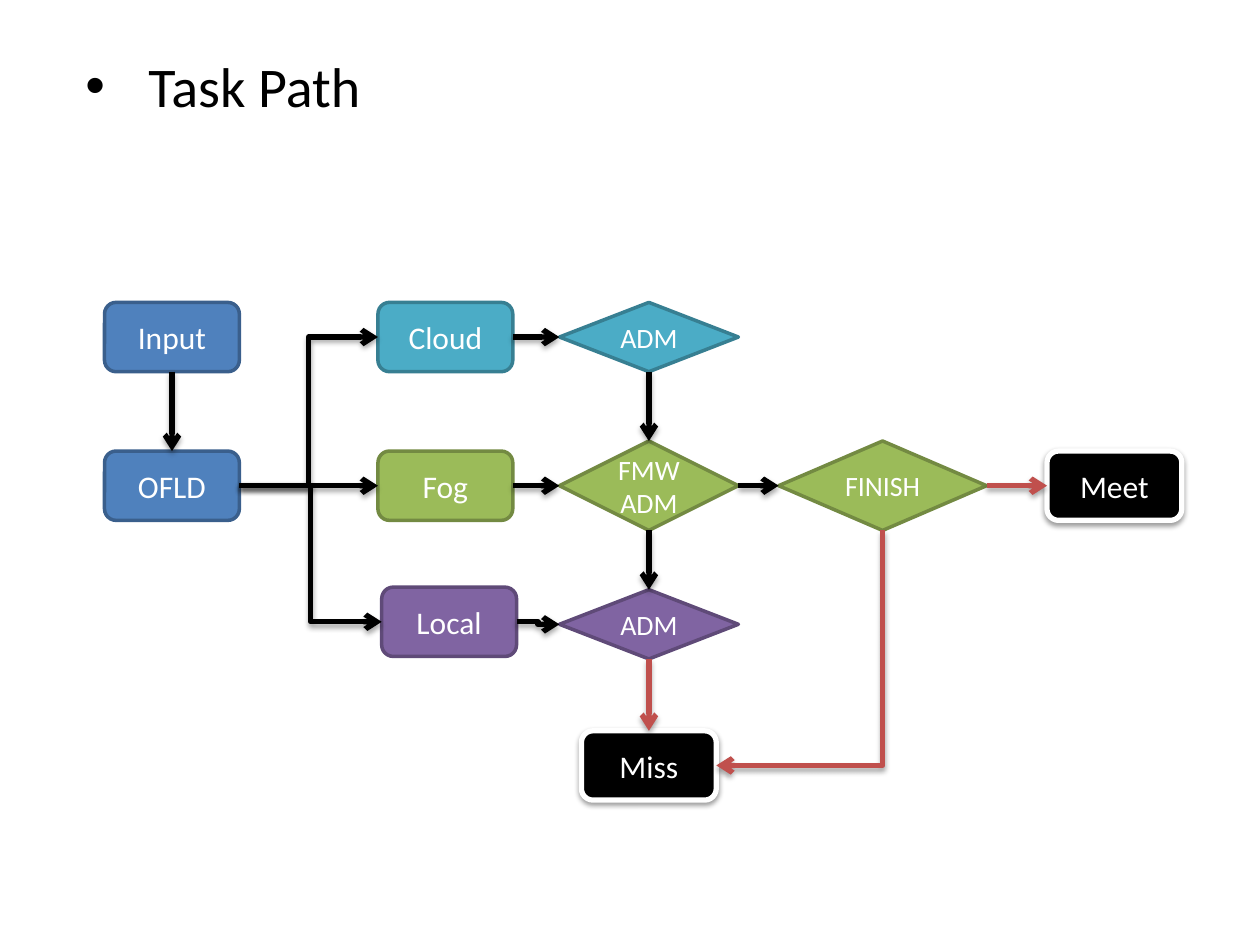
from dataclasses import dataclass

import lxml.etree
import pptx
import pptx.dml.color
import pptx.enum.shapes
import pptx.enum.text
import pptx.oxml.ns
import pptx.util

Inches = pptx.util.Inches
Kind = pptx.enum.shapes.MSO_SHAPE
Joint = pptx.enum.shapes.MSO_CONNECTOR
Align = pptx.enum.text.PP_ALIGN
qualify = pptx.oxml.ns.qn

TOP, LEFT, BOTTOM, RIGHT = range(4)
COLUMNS = {"intake": 1.365, "site": 3.535, "local": 3.565,
           "admission": 5.15, "finish": 7.005, "result": 8.845}
ROWS = {"cloud": 2.675, "fog": 3.855, "local": 4.935, "local check": 4.955, "miss": 6.075}


@dataclass(frozen=True)
class Theme:
    font: str = "Calibri"
    title_size: float = 32
    box_size: float = 18
    diamond_size: float = 16
    black: str = "000000"
    white: str = "FFFFFF"
    red: str = "C0504D"
    blue: tuple[str, str] = ("4F81BD", "3A5F8C")
    teal: tuple[str, str] = ("4BACC6", "377F92")
    green: tuple[str, str] = ("9BBB59", "738A42")
    purple: tuple[str, str] = ("8064A2", "5F4A78")
    ending: tuple[str, str] = ("000000", "FFFFFF")
    outline: float = 2
    stroke: float = 3


THEME = Theme()


@dataclass(frozen=True)
class Node:
    name: str
    text: str
    column: str
    row: str
    colors: tuple[str, str]
    width: float = 1.07
    height: float = 0.55
    kind: Kind = Kind.ROUNDED_RECTANGLE


@dataclass(frozen=True)
class Flow:
    start: str
    end: str
    start_side: int = RIGHT
    end_side: int = LEFT
    color: str = THEME.black
    joint: Joint = Joint.STRAIGHT


NODES = [
    Node("input", "Input", "intake", "cloud", THEME.blue),
    Node("offload", "OFLD", "intake", "fog", THEME.blue),
    Node("cloud", "Cloud", "site", "cloud", THEME.teal),
    Node("fog", "Fog", "site", "fog", THEME.green),
    Node("local", "Local", "local", "local", THEME.purple),
    Node("cloud check", "ADM", "admission", "cloud", THEME.teal, 1.42, kind=Kind.DIAMOND),
    Node("fog check", "FMW\vADM", "admission", "fog", THEME.green, 1.42, 0.71, Kind.DIAMOND),
    Node("local check", "ADM", "admission", "local check", THEME.purple, 1.42, kind=Kind.DIAMOND),
    Node("miss", "Miss", "admission", "miss", THEME.ending),
    Node("finish", "FINISH", "finish", "fog", THEME.green, 1.65, 0.71, Kind.DIAMOND),
    Node("meet", "Meet", "result", "fog", THEME.ending),
]
SITES = ("cloud", "fog", "local")
FLOWS = [
    *(Flow("offload", site, joint=Joint.ELBOW) for site in SITES),
    *(Flow(site, f"{site} check", joint=Joint.ELBOW) for site in SITES),
    Flow("input", "offload", BOTTOM, TOP),
    Flow("cloud check", "fog check", BOTTOM, TOP),
    Flow("fog check", "local check", BOTTOM, TOP),
    Flow("local check", "miss", BOTTOM, TOP, THEME.red),
    Flow("fog check", "finish"),
    Flow("finish", "meet", color=THEME.red),
    Flow("finish", "miss", BOTTOM, RIGHT, THEME.red, Joint.ELBOW),
]


def rgb(value: str) -> pptx.dml.color.RGBColor:
    return pptx.dml.color.RGBColor.from_string(value)


def add_element(parent, tag: str, **attributes):
    return lxml.etree.SubElement(parent, qualify(tag), attributes)


def add_shadow(effects, opacity: int, distance: float) -> None:
    shadow = add_element(effects, "a:outerShdw", blurRad=str(pptx.util.Pt(3.1)),
                         dist=str(pptx.util.Pt(distance)), dir="5400000", rotWithShape="0")
    color = add_element(shadow, "a:srgbClr", val=THEME.black)
    add_element(color, "a:alpha", val=str(opacity * 1000))


def write_text(frame, text: str, *, size: float, color: str, align=Align.LEFT,
               anchor=pptx.enum.text.MSO_ANCHOR.TOP, wrap: bool = True):
    frame.word_wrap = wrap
    frame.vertical_anchor = anchor
    para = frame.paragraphs[0]
    para.text = text
    para.alignment = align
    for span in para.runs:
        span.font.name = THEME.font
        span.font.size = pptx.util.Pt(size)
        span.font.color.rgb = rgb(color)
    return para


def add_title(page, text: str) -> None:
    box = page.shapes.add_textbox(Inches(0.58), Inches(0.36), Inches(2.41), Inches(0.64))
    para = write_text(box.text_frame, text, size=THEME.title_size, color=THEME.black, wrap=False)
    box.text_frame.auto_size = pptx.enum.text.MSO_AUTO_SIZE.SHAPE_TO_FIT_TEXT
    properties = para._p.get_or_add_pPr()
    properties.set("marL", str(Inches(0.5)))
    properties.set("indent", str(Inches(-0.5)))
    add_element(properties, "a:buFont", typeface="Arial")
    add_element(properties, "a:buChar", char="•")


def add_node(page, node: Node):
    box = page.shapes.add_shape(
        node.kind, Inches(COLUMNS[node.column] - node.width / 2),
        Inches(ROWS[node.row] - node.height / 2), Inches(node.width), Inches(node.height))
    fill, line = node.colors
    is_ending = node.colors == THEME.ending
    box.fill.solid()
    box.fill.fore_color.rgb = rgb(fill)
    box.line.color.rgb = rgb(line)
    box.line.width = pptx.util.Pt(THEME.stroke if is_ending else THEME.outline)
    box.shadow.inherit = False
    if is_ending:
        add_shadow(box._element.spPr.find(qualify("a:effectLst")), 38, 1.6)
    size = THEME.diamond_size if node.kind == Kind.DIAMOND else THEME.box_size
    write_text(box.text_frame, node.text, size=size, color=THEME.white, align=Align.CENTER,
               anchor=pptx.enum.text.MSO_ANCHOR.MIDDLE)
    return box


def turn_single_corner(connector) -> None:
    middle_x = connector.left + connector.width // 2
    middle_y = connector.top + connector.height // 2
    width, height = connector.height, connector.width
    connector.left, connector.top = middle_x - width // 2, middle_y - height // 2
    connector.width, connector.height = width, height
    properties = connector._element.spPr
    frame = properties.find(qualify("a:xfrm"))
    frame.attrib.pop("flipH", None)
    frame.set("rot", "5400000")
    properties.find(qualify("a:prstGeom")).set("prst", "bentConnector2")


def add_flow(page, flow: Flow, boxes: dict) -> None:
    connector = page.shapes.add_connector(flow.joint, 0, 0, 0, 0)
    connector.begin_connect(boxes[flow.start], flow.start_side)
    connector.end_connect(boxes[flow.end], flow.end_side)
    if (flow.start_side, flow.end_side) == (BOTTOM, RIGHT):
        turn_single_corner(connector)
    connector.line.color.rgb = rgb(flow.color)
    connector.line.width = pptx.util.Pt(THEME.stroke)
    properties = connector._element.spPr
    add_element(properties.find(qualify("a:ln")), "a:tailEnd", type="arrow")
    add_shadow(add_element(properties, "a:effectLst"), 35, 1.8)


def main() -> None:
    deck = pptx.Presentation()
    deck.slide_width, deck.slide_height = Inches(10), Inches(7.5)
    page = deck.slides.add_slide(deck.slide_layouts[6])
    boxes = {node.name: add_node(page, node) for node in NODES}
    for flow in FLOWS:
        add_flow(page, flow, boxes)
    add_title(page, "Task Path")
    deck.save("out.pptx")


if __name__ == "__main__":
    main()
